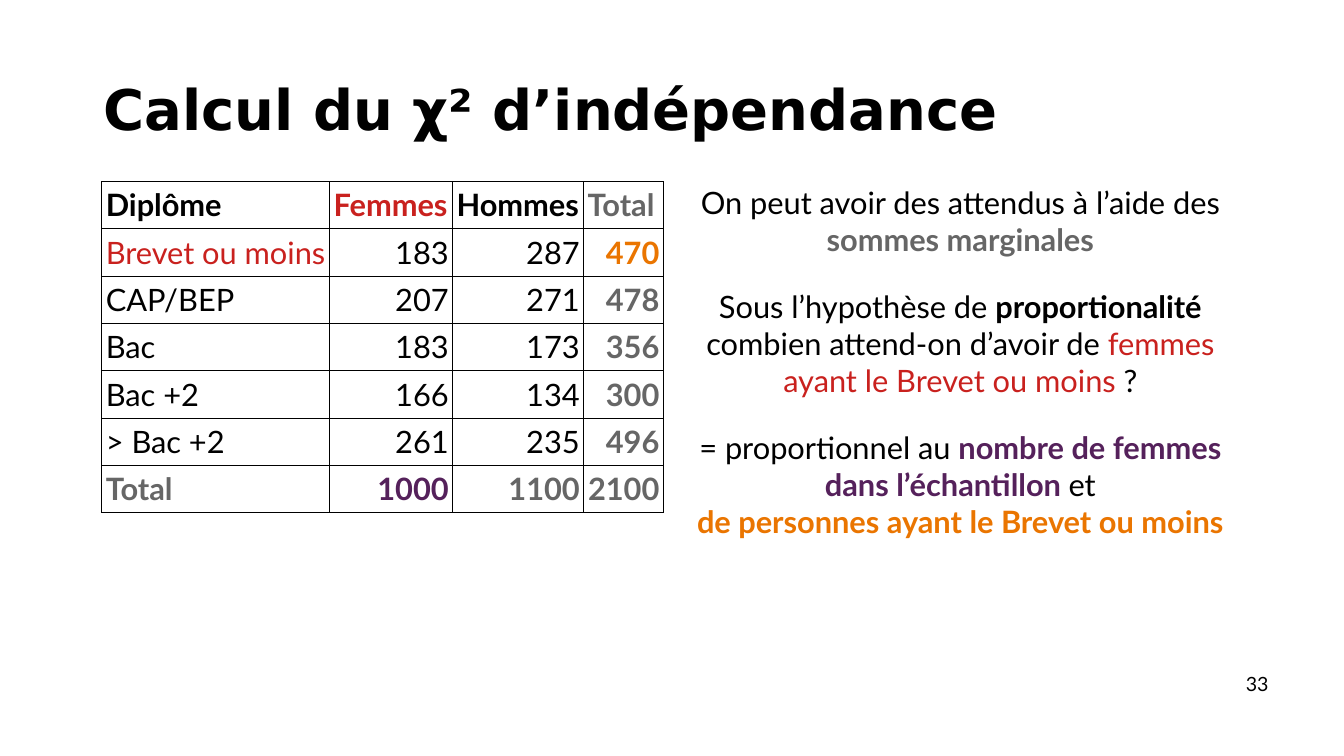
import pptx
import pptx.dml.color
import pptx.enum.text
import pptx.oxml
import pptx.oxml.ns
import pptx.util

Inches = pptx.util.Inches
Pt = pptx.util.Pt
RGBColor = pptx.dml.color.RGBColor
Align = pptx.enum.text.PP_ALIGN
Anchor = pptx.enum.text.MSO_ANCHOR

BLACK = RGBColor(0x00, 0x00, 0x00)
RED = RGBColor(0xC9, 0x21, 0x1E)
GREY = RGBColor(0x66, 0x66, 0x66)
ORANGE = RGBColor(0xEA, 0x75, 0x00)
PURPLE = RGBColor(0x55, 0x21, 0x5B)


class Page:
    """Holds the text style and the current slide."""

    title_font = "DejaVu Sans"
    body_font = "Lato"
    body_size = 22
    border_width = Pt(0.57)

    def __init__(self, deck):
        self.slide = deck.slides.add_slide(deck.slide_layouts[6])

    def span(self, para, text, color=BLACK, bold=False, size=body_size, font=body_font):
        run = para.add_run()
        run.text = text
        run.font.name = font
        run.font.size = Pt(size)
        run.font.bold = bold
        run.font.color.rgb = color

    def box(self, left, top, width, height, anchor=Anchor.TOP):
        shape = self.slide.shapes.add_textbox(
            Inches(left), Inches(top), Inches(width), Inches(height))
        frame = shape.text_frame
        frame.word_wrap = True
        frame.vertical_anchor = anchor
        return frame

    def title(self, text):
        para = self.box(0.93, 0.77, 11.86, 0.69, Anchor.MIDDLE).paragraphs[0]
        para.line_spacing = 0.9
        self.span(para, text, bold=True, size=40, font=self.title_font)

    def number(self, text):
        para = self.box(11.59, 6.62, 1.09, 0.33).paragraphs[0]
        para.alignment = Align.RIGHT
        self.span(para, text, size=14)

    def explanation(self, left, top, width, height, paragraphs):
        frame = self.box(left, top, width, height)
        for index, spans in enumerate(paragraphs):
            para = frame.add_paragraph() if index else frame.paragraphs[0]
            para.alignment = Align.CENTER
            para.space_after = Pt(21.6)
            for part in spans:
                if part is None:
                    para.add_line_break()
                else:
                    self.span(para, *part)

    def border(self, cell):
        properties = cell._tc.get_or_add_tcPr()
        for side in ("lnL", "lnR", "lnT", "lnB"):
            properties.append(pptx.oxml.parse_xml(
                f'<a:{side} {pptx.oxml.ns.nsdecls("a")} w="{self.border_width}">'
                f'<a:solidFill><a:srgbClr val="{BLACK}"/></a:solidFill></a:{side}>'))

    def table(self, left, top, widths, row_height, rows, style_of):
        table = self.slide.shapes.add_table(
            len(rows), len(widths), Inches(left), Inches(top),
            Inches(sum(widths)), Inches(row_height * len(rows))).table
        for column, width in zip(table.columns, widths):
            column.width = Inches(width)
        for row_index, values in enumerate(rows):
            table.rows[row_index].height = Inches(row_height)
            for column_index, value in enumerate(values):
                cell = table.cell(row_index, column_index)
                cell.margin_left = cell.margin_right = Inches(0.04)
                self.border(cell)
                cell.fill.background()
                para = cell.text_frame.paragraphs[0]
                if row_index and column_index:
                    para.alignment = Align.RIGHT
                self.span(para, value, *style_of(row_index, column_index))


# Table content: diplomas by sex, with marginal sums
DIPLOMAS = [
    ("Diplôme", "Femmes", "Hommes", "Total"),
    ("Brevet ou moins", "183", "287", "470"),
    ("CAP/BEP", "207", "271", "478"),
    ("Bac", "183", "173", "356"),
    ("Bac +2", "166", "134", "300"),
    ("> Bac +2", "261", "235", "496"),
    ("Total", "1000", "1100", "2100"),
]
LAST_ROW = len(DIPLOMAS) - 1
LAST_COLUMN = len(DIPLOMAS[0]) - 1
HIGHLIGHTS = {(0, 1): RED, (1, 0): RED, (1, LAST_COLUMN): ORANGE, (LAST_ROW, 1): PURPLE}


def diploma_style(row, column):
    """Colour and weight of a cell: totals are grey, totals and header are bold."""
    is_total = row == LAST_ROW or column == LAST_COLUMN
    color = HIGHLIGHTS.get((row, column), GREY if is_total else BLACK)
    return color, is_total or row == 0


# Explanation beside the table; None is a line break
REASONING = [
    [("On peut avoir des attendus à l’aide des ",),
     ("sommes marginales", GREY, True)],
    [("Sous l’hypothèse de ",),
     ("proportionalité", BLACK, True),
     (" combien attend-on d’avoir de ",),
     ("femmes ayant le Brevet ou moins", RED),
     (" ?",)],
    [("= proportionnel au ",),
     ("nombre de femmes dans l’échantillon ", PURPLE, True),
     ("et",),
     None,
     ("de personnes ayant le Brevet ou moins", ORANGE, True)],
]


def main():
    deck = pptx.Presentation()
    deck.slide_width = Inches(13.33)
    deck.slide_height = Inches(7.5)

    page = Page(deck)
    page.number("33")
    page.title("Calcul du χ² d’indépendance")
    page.table(1.01, 1.8, (2.26, 1.22, 1.3, 0.79), 0.47, DIPLOMAS, diploma_style)
    page.explanation(6.7, 1.77, 5.65, 3.63, REASONING)

    deck.save("out.pptx")


if __name__ == "__main__":
    main()
